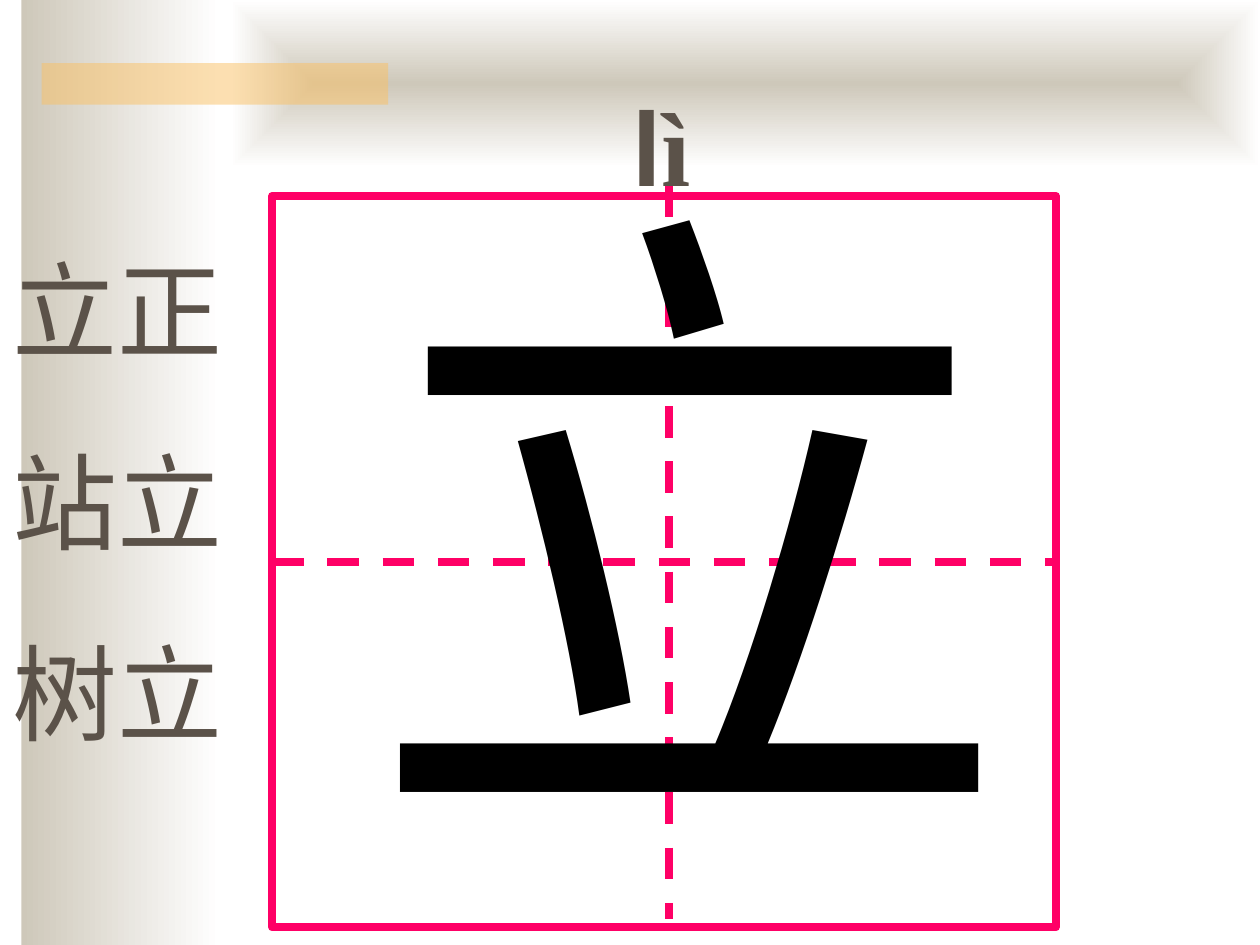
from pptx import Presentation
from pptx.dml.color import RGBColor
from pptx.enum.dml import MSO_LINE_DASH_STYLE as Dash
from pptx.enum.shapes import MSO_CONNECTOR as Link, MSO_SHAPE as Kind
from pptx.enum.text import MSO_AUTO_SIZE as Fit
from pptx.oxml.ns import qn
from pptx.util import Inches, Pt
from lxml import etree

SAND = RGBColor(0xCE, 0xC8, 0xBA)
WHITE = RGBColor(0xFF, 0xFF, 0xFF)
GOLD = RGBColor(0xFA, 0xC1, 0x64)
BROWN = RGBColor(0x5B, 0x52, 0x49)
PINK = RGBColor(0xFF, 0x00, 0x66)
BLACK = RGBColor(0x00, 0x00, 0x00)

deck = Presentation()
deck.slide_width, deck.slide_height = Inches(10), Inches(7.5)
slide = deck.slides.add_slide(deck.slide_layouts[6])
shapes = slide.shapes


def share(x, y, w, h):
    wide, high = deck.slide_width / 100, deck.slide_height / 100
    return int(x * wide), int(y * high), int(w * wide), int(h * high)


def write(para, text, font, size, ink, bold=False):
    run = para.add_run()
    run.text = text
    run.font.name = font
    run.font.size = Pt(size)
    run.font.bold = bold
    run.font.color.rgb = ink


panes = []
for area in [(1.7, 0, 15.8, 100), (18.3, 0, 81.7, 17.73),
             (3.3, 6.67, 27.5, 4.4), (21.6, 20.73, 62.2, 77.4)]:
    pane = shapes.add_shape(Kind.RECTANGLE, *share(*area))
    pane.shadow.inherit = False
    pane.line.fill.background()
    panes.append(pane)
side, top, bar, frame = panes

for pane in (side, top):
    pane.fill.gradient()
    pane.fill.gradient_angle = 0
    for stop, tint, spot in zip(pane.fill.gradient_stops, (SAND, WHITE), (0, 1)):
        stop.color.rgb = tint
        stop.position = spot

lin = next(top._element.iter(qn("a:lin")))
glow = etree.Element(qn("a:path"), path="rect")
etree.SubElement(glow, qn("a:fillToRect"), l="50000", t="50000", r="50000", b="50000")
lin.getparent().replace(lin, glow)

bar.fill.solid()
bar.fill.fore_color.rgb = GOLD
tone = next(bar._element.iter(qn("a:srgbClr")))
etree.SubElement(tone, qn("a:alpha"), val="50000")

frame.fill.background()
frame.line.color.rgb = PINK
frame.line.width = Pt(4.5)

lines = []
for ends, ink, width in [((18.5, 59.43, 18.5, 59.43), BROWN, 0.75),
                         ((21.6, 59.43, 83.8, 59.43), PINK, 4.5),
                         ((53.1, 19.6, 53.1, 97.2), PINK, 4.5)]:
    line = shapes.add_connector(Link.STRAIGHT, *share(*ends))
    line.line.color.rgb = ink
    line.line.width = Pt(width)
    if ink == PINK:
        line.line.dash_style = Dash.DASH
    etree.SubElement(line._element.spPr, qn("a:effectLst"))
    lines.append(line)
lines[1].begin_connect(frame, 1)
lines[1].end_connect(frame, 3)

texts = []
for area, wrap in [((49.2, 8, 32.3, 14.67), True),
                   ((28, 12.13, 53.4, 83.6), False),
                   ((0, 25.33, 20.5, 75.6), True)]:
    text = shapes.add_textbox(*share(*area)).text_frame
    text.word_wrap = wrap
    text.auto_size = Fit.SHAPE_TO_FIT_TEXT
    texts.append(text)
sound, glyph, words = texts

write(sound.paragraphs[0], "l", "Arial", 60, BROWN, True)
write(sound.paragraphs[0], "ì", "Times New Roman", 60, BROWN, True)
write(glyph.paragraphs[0], "立", "Times New Roman", 370, BLACK)
for row, word in enumerate(["立正", "站立", "树立"]):
    para = words.add_paragraph() if row else words.paragraphs[0]
    if row:
        para.space_before = Pt(37.5)
    write(para, word, "Arial", 60, BROWN)

deck.save("out.pptx")
